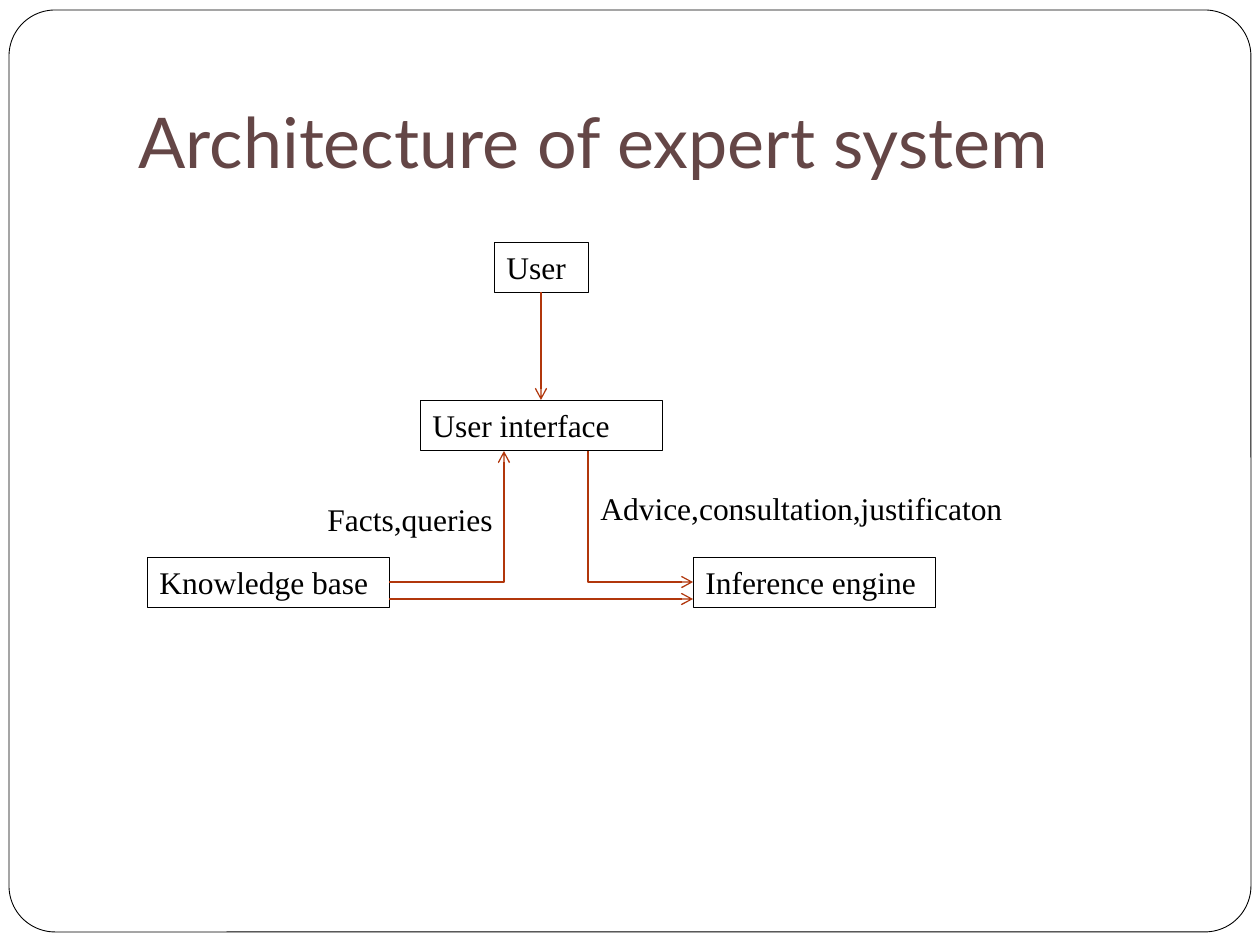
import pptx
import pptx.util
import pptx.dml.color
import pptx.enum.shapes
import pptx.enum.text
import pptx.oxml.ns
import lxml.etree

SCALE = 914400 / 126
COLORS = {"paper": "FFFFFF", "ink": "000000", "title": "644646", "arrow": "B1360B"}
SHAPES = pptx.enum.shapes.MSO_SHAPE
CONNECTORS = pptx.enum.shapes.MSO_CONNECTOR


def emu(*lengths):
    return [pptx.util.Emu(round(length * SCALE)) for length in lengths]


def write(target, text, size=18, font="Times New Roman", color="ink", anchor="TOP"):
    frame = target.text_frame
    frame.word_wrap = True
    frame.vertical_anchor = pptx.enum.text.MSO_ANCHOR[anchor]
    paragraph = frame.paragraphs[0]
    paragraph.alignment = pptx.enum.text.PP_ALIGN.LEFT
    run = paragraph.add_run()
    run.text = text
    run.font.size = pptx.util.Pt(size)
    run.font.name = font
    run.font.color.rgb = pptx.dml.color.RGBColor.from_string(COLORS[color])


deck = pptx.Presentation()
deck.slide_width, deck.slide_height = emu(1260, 945)
slide = deck.slides.add_slide(deck.slide_layouts[5])
shapes = slide.shapes

heading = shapes.title
heading.left, heading.top, heading.width, heading.height = emu(126, 38, 1071, 157)
write(heading, "Architecture of expert system", size=40, font="Lato", color="title", anchor="BOTTOM")
heading.text_frame.margin_bottom = pptx.util.Inches(0.1)

border = shapes.add_shape(SHAPES.ROUNDED_RECTANGLE, *emu(9, 10, 1242, 922))
border.adjustments[0] = 0.05
border.shadow.inherit = False
border.fill.solid()
border.fill.fore_color.rgb = pptx.dml.color.RGBColor.from_string(COLORS["paper"])
border.line.color.rgb = pptx.dml.color.RGBColor.from_string(COLORS["ink"])
border.line.width = pptx.util.Pt(0.5)
heading._element.addprevious(border._element)

components = {}
for name, left, top, width in [
    ("User", 494, 242, 94),
    ("User interface", 420, 400, 242),
    ("Knowledge base", 147, 557, 242),
    ("Inference engine", 693, 557, 242),
]:
    component = shapes.add_shape(SHAPES.RECTANGLE, *emu(left, top, width, 50))
    component.shadow.inherit = False
    component.fill.background()
    component.line.color.rgb = pptx.dml.color.RGBColor.from_string(COLORS["ink"])
    component.line.width = pptx.util.Pt(0.25)
    write(component, name)
    components[name] = component

request = shapes.add_connector(CONNECTORS.STRAIGHT, *emu(541, 292, 541, 400))
request.begin_connect(components["User"], 2)
request.end_connect(components["User interface"], 0)
knowledge = shapes.add_connector(CONNECTORS.STRAIGHT, *emu(389, 599, 693, 599))
facts = shapes.add_connector(CONNECTORS.ELBOW, *emu(389, 582, 504, 451))
advice = shapes.add_connector(CONNECTORS.ELBOW, *emu(706, 464, 575, 569))
advice._element.spPr.find(pptx.oxml.ns.qn("a:xfrm")).set("rot", str(270 * 60000))

for elbow in (facts, advice):
    elbow._element.spPr.find(pptx.oxml.ns.qn("a:prstGeom")).set("prst", "bentConnector2")

for flow in (request, knowledge, facts, advice):
    flow.line.color.rgb = pptx.dml.color.RGBColor.from_string(COLORS["arrow"])
    flow.line.width = pptx.util.Pt(0.75)
    lxml.etree.SubElement(flow.line._get_or_add_ln(), pptx.oxml.ns.qn("a:tailEnd"), type="arrow")
    lxml.etree.SubElement(flow._element.spPr, pptx.oxml.ns.qn("a:effectLst"))

for label, left, top, width in [
    ("Facts,queries", 315, 494, 212),
    ("Advice,consultation,justificaton", 588, 483, 441),
]:
    write(shapes.add_textbox(*emu(left, top, width, 50)), label)

deck.save("out.pptx")
